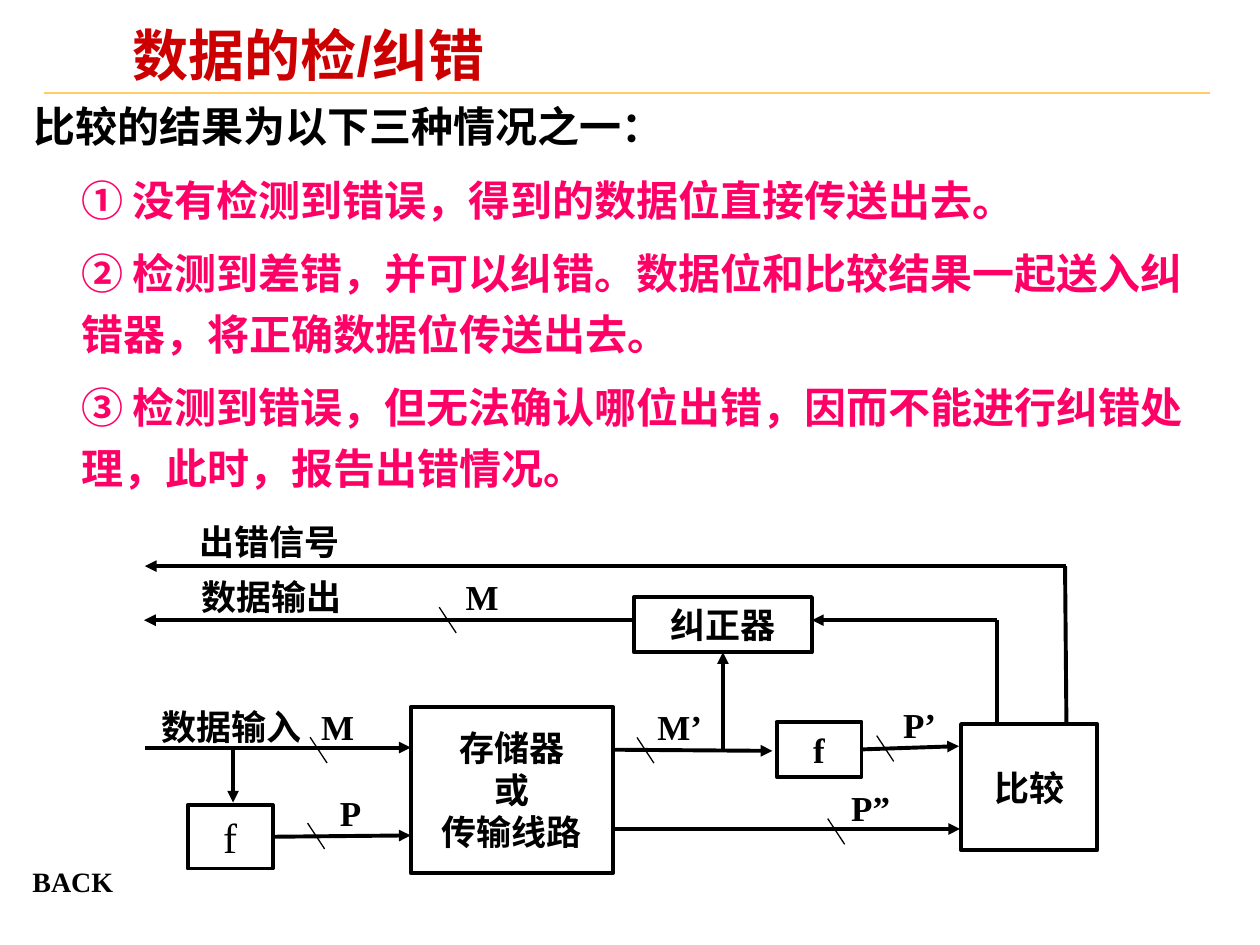
from dataclasses import dataclass
from typing import Optional

from lxml import etree
from pptx import Presentation
from pptx.dml.color import RGBColor
from pptx.enum import shapes, text
from pptx.oxml import ns
from pptx.util import Pt

COLORS = {"ink": "000000", "title": "CC0000", "accent": "FF0066", "rule": "FFCC66"}
SERIF = "Times New Roman"
SANS = "Arial"
TOP, LEFT, BOTTOM, RIGHT = range(4)


@dataclass
class Block:
    name: str
    left: float
    top: float
    width: float
    height: float
    caption: str
    size: float = 20
    bold: bool = True


@dataclass
class Wire:
    x1: float
    y1: float
    x2: float
    y2: float
    arrow: bool = True
    source: Optional[tuple[str, int]] = None
    target: Optional[tuple[str, int]] = None


@dataclass
class Signal:
    caption: str
    slash_left: float
    slash_top: float
    shift: float = 6.5


@dataclass
class Label:
    caption: str
    left: float
    top: float
    width: float
    height: float


BLOCKS = [
    Block("memory", 234.7, 403.9, 115.5, 95, "存储器\n或\n传输线路"),
    Block("input_f", 107.3, 460, 48.5, 36.3, "f", 24, False),
    Block("output_f", 443.8, 412.5, 48.5, 31.5, "f"),
    Block("compare", 549.2, 413.8, 77.8, 72, "比较"),
    Block("corrector", 362.2, 341.2, 101.8, 31.5, "纠正器"),
]
WIRES = [
    Wire(83, 427.2, 234.7, 427.2),
    Wire(133.2, 427.2, 133.2, 458.6),
    Wire(156, 477.4, 234.7, 477.4, source=("input_f", RIGHT)),
    Wire(350.2, 428.4, 441.4, 429.1),
    Wire(350.2, 473.7, 548.6, 473.7),
    Wire(492.3, 427.5, 548, 426.4, source=("output_f", RIGHT)),
    Wire(413.1, 428.4, 413.1, 373, target=("corrector", BOTTOM)),
    Wire(569.8, 413.8, 569.8, 354.4, arrow=False),
    Wire(569.8, 354.4, 464, 354.4),
    Wire(362.2, 354.4, 82.3, 354.4),
    Wire(609, 323.5, 82.8, 323.5),
    Wire(608.6, 323.5, 609.4, 413.8, arrow=False),
]
SIGNALS = [
    Signal("M", 177.2, 421.3, -2.2),
    Signal("P", 175.8, 470.4),
    Signal("M’", 364, 421.4),
    Signal("P”", 473, 467.8),
    Signal("P’", 501, 420.4),
    Signal("M", 251, 347),
]
LABELS = [
    Label("出错信号", 101.5, 293.8, 105, 31.7),
    Label("数据输出", 102.6, 324.9, 105, 31.7),
    Label("数据输入", 84, 403.2, 97, 23.8),
]
RESULTS = [
    "① 没有检测到错误，得到的数据位直接传送出去。",
    "② 检测到差错，并可以纠错。数据位和比较结果一起送入纠错器，将正确数据位传送出去。",
    "③ 检测到错误，但无法确认哪位出错，因而不能进行纠错处理，此时，报告出错情况。",
]


def color(name: str) -> RGBColor:
    return RGBColor.from_string(COLORS[name])


def write(paragraph, content: str, *, size: float = 20, font: str = SERIF, tint: str = "ink",
          bold: bool = True, centered: bool = False, spacing: float = 1,
          before: float = 0, indent: float = 0) -> None:
    run = paragraph.add_run()
    run.text = content
    run.font.size = Pt(size)
    run.font.name = font
    run.font.bold = bold
    run.font.color.rgb = color(tint)
    paragraph.alignment = text.PP_ALIGN.CENTER if centered else text.PP_ALIGN.LEFT
    paragraph.line_spacing = spacing
    paragraph.space_before = Pt(before)
    if indent:
        paragraph._p.get_or_add_pPr().set("marL", str(Pt(indent)))


def set_frame(frame, *, side: float = 0, edge: float = 0, wrap: bool = False,
              anchor=text.MSO_ANCHOR.MIDDLE) -> None:
    frame.margin_left = frame.margin_right = Pt(side)
    frame.margin_top = frame.margin_bottom = Pt(edge)
    frame.word_wrap = wrap
    frame.vertical_anchor = anchor


def add_text_frame(slide, left: float, top: float, width: float, height: float, **layout):
    frame = slide.shapes.add_textbox(Pt(left), Pt(top), Pt(width), Pt(height)).text_frame
    set_frame(frame, **layout)
    return frame


def draw_block(slide, block: Block):
    shape = slide.shapes.add_shape(shapes.MSO_SHAPE.RECTANGLE, Pt(block.left), Pt(block.top),
                                   Pt(block.width), Pt(block.height))
    shape.shadow.inherit = False
    shape.fill.background()
    shape.line.color.rgb = color("ink")
    shape.line.width = Pt(2.25)
    frame = shape.text_frame
    set_frame(frame)
    for index, line in enumerate(block.caption.split("\n")):
        paragraph = frame.add_paragraph() if index else frame.paragraphs[0]
        write(paragraph, line, size=block.size, bold=block.bold, centered=True)
    return shape


def draw_line(slide, x1: float, y1: float, x2: float, y2: float, *,
              tint: str = "ink", width: float = 2.25, arrow: bool = False):
    connector = slide.shapes.add_connector(shapes.MSO_CONNECTOR.STRAIGHT,
                                           Pt(x1), Pt(y1), Pt(x2), Pt(y2))
    connector.line.color.rgb = color(tint)
    connector.line.width = Pt(width)
    if arrow:
        etree.SubElement(connector.line._get_or_add_ln(), ns.qn("a:tailEnd"), type="triangle")
    etree.SubElement(connector._element.spPr, ns.qn("a:effectLst"))
    return connector


def draw_wire(slide, wire: Wire, blocks: dict) -> None:
    connector = draw_line(slide, wire.x1, wire.y1, wire.x2, wire.y2, arrow=wire.arrow)
    if wire.source:
        connector.begin_connect(blocks[wire.source[0]], wire.source[1])
    if wire.target:
        connector.end_connect(blocks[wire.target[0]], wire.target[1])


def draw_label(slide, label: Label) -> None:
    frame = add_text_frame(slide, label.left, label.top, label.width, label.height)
    write(frame.paragraphs[0], label.caption, centered=True)


def draw_signal(slide, signal: Signal) -> None:
    left, top = signal.slash_left, signal.slash_top
    draw_line(slide, left, top, left + 9.7, top + 14.7, width=0.75)
    draw_label(slide, Label(signal.caption, left + signal.shift, top - 18.2, 36, 23.8))


def main() -> None:
    presentation = Presentation()
    presentation.slide_width, presentation.slide_height = Pt(720), Pt(540)
    slide = presentation.slides.add_slide(presentation.slide_layouts[6])

    draw_line(slide, 25.2, 53.3, 691.2, 53.3, tint="rule", width=1)
    title = add_text_frame(slide, 62.6, 15.1, 478, 37.4, side=13, edge=2,
                           anchor=text.MSO_ANCHOR.TOP)
    write(title.paragraphs[0], "数据的检/纠错", size=32, font=SANS, tint="title", spacing=0.87)

    body = add_text_frame(slide, 14.4, 55.4, 685.4, 228.2, side=5, edge=2, wrap=True,
                          anchor=text.MSO_ANCHOR.TOP)
    write(body.paragraphs[0], "比较的结果为以下三种情况之一：", size=24, font=SANS)
    for result in RESULTS:
        write(body.add_paragraph(), result, size=24, font=SANS, tint="accent",
              spacing=1.2, before=7.5, indent=27)

    back = add_text_frame(slide, 11.5, 490.3, 64, 26.6, side=7.2, edge=3.6)
    write(back.paragraphs[0], "BACK", size=16)

    blocks = {block.name: draw_block(slide, block) for block in BLOCKS}
    for wire in WIRES:
        draw_wire(slide, wire, blocks)
    for signal in SIGNALS:
        draw_signal(slide, signal)
    for label in LABELS:
        draw_label(slide, label)
    presentation.save("out.pptx")


if __name__ == "__main__":
    main()
